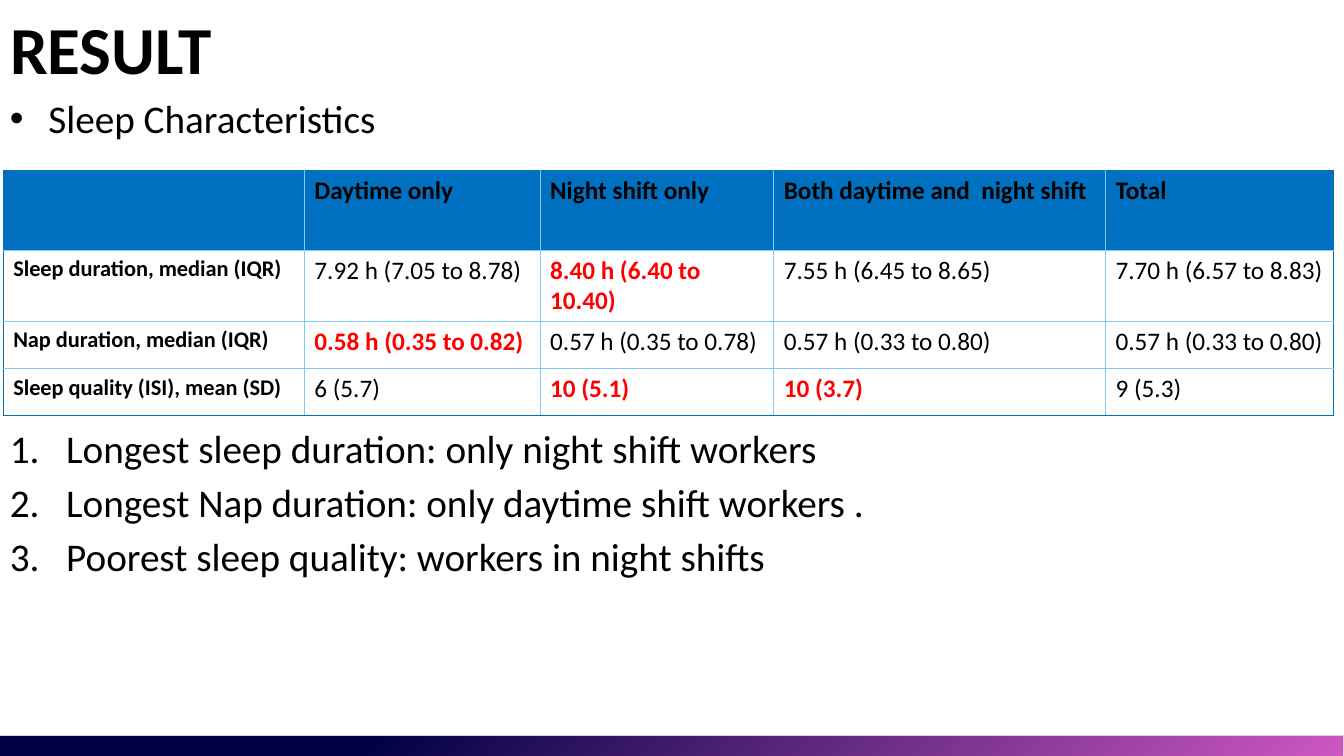
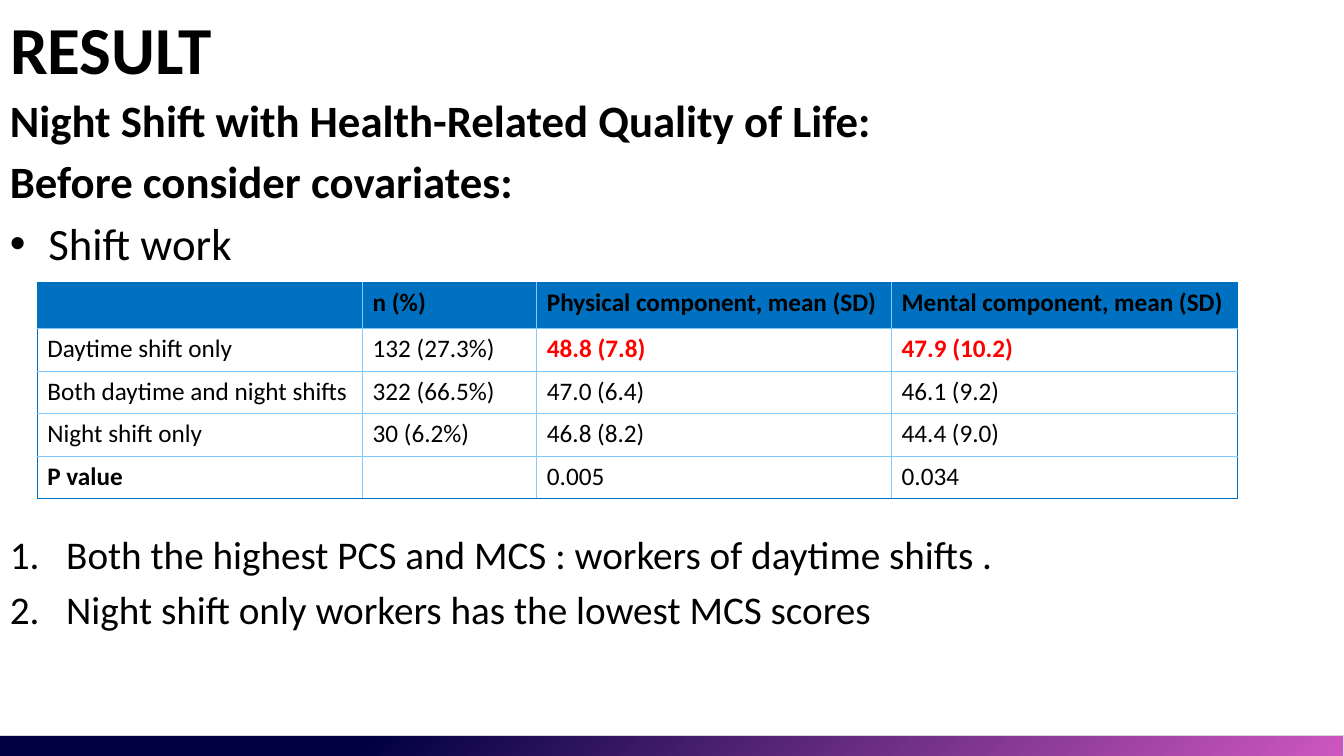
from dataclasses import dataclass

from lxml.etree import SubElement
from pptx import Presentation
from pptx.dml.color import RGBColor
from pptx.enum.shapes import MSO_SHAPE
from pptx.enum.text import MSO_ANCHOR, MSO_AUTO_SIZE, PP_ALIGN
from pptx.oxml.ns import qn
from pptx.util import Cm, Pt


@dataclass(frozen=True)
class Theme:
    font: str = "Calibri"
    ink: str = "000000"
    alert: str = "FF0000"
    blue: str = "0070C0"
    sky: str = "80CAFF"
    navy: str = "000044"
    pink: str = "CE57C1"
    edge: str = "D8D8D8"
    title: int = 48
    lead: int = 32
    body: int = 28
    cell: int = 18
    label: int = 16
    gap: float = 0.18
    rule: float = 0.75


@dataclass(frozen=True)
class Item:
    text: str
    bold: bool = False
    color: str = Theme.ink
    size: int = Theme.cell


THEME = Theme()
WIDTH, HEIGHT = 33.87, 19.05
MARKS = {
    "dot": (0.97, "a:buChar", {"char": "•"}),
    "num": (1.42, "a:buAutoNum", {"type": "arabicPeriod"}),
}


def rgb(code):
    return RGBColor.from_string(code)


def hot(text):
    return Item(text, True, THEME.alert)


def label(text):
    return Item(text, True, size=THEME.label)


def write(para, item):
    run = para.add_run()
    run.text = item.text
    font = run.font
    font.name = THEME.font
    font.size = Pt(item.size)
    font.bold = item.bold
    font.color.rgb = rgb(item.color)


def mark(para, kind):
    indent, tag, attrs = MARKS[kind]
    props = para._p.get_or_add_pPr()
    props.set("marL", str(Cm(indent)))
    props.set("indent", str(-Cm(indent)))
    SubElement(props, qn("a:buFont"), typeface="Arial" if kind == "dot" else "+mj-lt")
    SubElement(props, qn(tag), **attrs)


def add_title(slide, text):
    title = slide.shapes.title
    title.left, title.top = Cm(0), Cm(0.05)
    title.width, title.height = Cm(18.3), Cm(2.1)
    frame = title.text_frame
    frame.auto_size = MSO_AUTO_SIZE.NONE
    frame.vertical_anchor = MSO_ANCHOR.TOP
    para = frame.paragraphs[0]
    para.alignment = PP_ALIGN.LEFT
    write(para, Item(text, True, size=THEME.title))


def add_text(slide, top, height, lines):
    box = slide.shapes.add_textbox(Cm(0), Cm(top), Cm(33.5), Cm(height))
    frame = box.text_frame
    frame.word_wrap = True
    for place, (item, kind) in enumerate(lines):
        para = frame.add_paragraph() if place else frame.paragraphs[0]
        if kind:
            mark(para, kind)
        if place:
            para.space_before = Pt(item.size * THEME.gap)
        write(para, item)


def add_points(slide, top, texts):
    lines = [(Item(text, size=THEME.body), "num") for text in texts]
    add_text(slide, top, 1.4 * len(texts) + 0.3, lines)


def add_rules(cell, colors):
    props = cell._tc.get_or_add_tcPr()
    for side, color in zip("LRTB", colors):
        line = SubElement(props, qn(f"a:ln{side}"), w=str(Pt(THEME.rule)))
        fill = SubElement(line, qn("a:solidFill"))
        SubElement(fill, qn("a:srgbClr"), val=color)


def add_grid(slide, left, top, widths, heights, rows):
    frame = slide.shapes.add_table(
        len(rows), len(widths), Cm(left), Cm(top), Cm(sum(widths)), Cm(sum(heights))
    )
    table = frame.table
    table.first_row = table.horz_banding = False
    for col, width in zip(table.columns, widths):
        col.width = Cm(width)
    for row, height in zip(table.rows, heights):
        row.height = Cm(height)
    last_row, last_col = len(rows) - 1, len(widths) - 1
    for y, row in enumerate(rows):
        for x, value in enumerate(row):
            cell = table.cell(y, x)
            outer = (x == 0, x == last_col, y == 0, y in (0, last_row))
            add_rules(cell, [THEME.blue if side else THEME.sky for side in outer])
            if y == 0:
                cell.fill.solid()
                cell.fill.fore_color.rgb = rgb(THEME.blue)
            else:
                cell.fill.background()
            if value:
                item = value if isinstance(value, Item) else Item(value, y == 0)
                write(cell.text_frame.paragraphs[0], item)


def add_band(slide):
    band = slide.shapes.add_shape(
        MSO_SHAPE.RECTANGLE, Cm(0), Cm(18.54), Cm(WIDTH), Cm(0.58)
    )
    band.shadow.inherit = False
    band.fill.gradient()
    band.fill.gradient_angle = 315
    stops = zip(band.fill.gradient_stops, ((0.27, THEME.navy), (1, THEME.pink)))
    for stop, (place, color) in stops:
        stop.position = place
        stop.color.rgb = rgb(color)
    band.line.color.rgb = rgb(THEME.edge)
    band.line.width = Pt(THEME.rule)
    slide.slide_layout.element.cSld.spTree.append(band.element)


def add_sleep(slide):
    add_title(slide, "RESULT")
    add_text(slide, 2.26, 1.6, [(Item("Sleep Characteristics", size=THEME.body), "dot")])
    add_grid(
        slide, 0.08, 4.29,
        [7.59, 5.94, 5.89, 8.36, 5.74],
        [2.01, 1.8, 1.19, 1.19],
        [
            ["", "Daytime only", "Night shift only", "Both daytime and  night shift", "Total"],
            [
                label("Sleep duration, median (IQR)"),
                "7.92 h (7.05 to 8.78)",
                hot("8.40 h (6.40 to 10.40)"),
                "7.55 h (6.45 to 8.65)",
                "7.70 h (6.57 to 8.83)",
            ],
            [
                label("Nap duration, median (IQR)"),
                hot("0.58 h (0.35 to 0.82)"),
                "0.57 h (0.35 to 0.78)",
                "0.57 h (0.33 to 0.80)",
                "0.57 h (0.33 to 0.80)",
            ],
            [
                label("Sleep quality (ISI), mean (SD)"),
                "6 (5.7)", hot("10 (5.1)"), hot("10 (3.7)"), "9 (5.3)",
            ],
        ],
    )
    add_points(slide, 10.57, [
        "Longest sleep duration: only night shift workers",
        "Longest Nap duration: only daytime shift workers .",
        "Poorest sleep quality: workers in night shifts",
    ])


def add_health(slide):
    add_title(slide, "RESULT")
    add_text(slide, 2.2, 4.8, [
        (Item("Night Shift with Health-Related Quality of Life:", True, size=THEME.lead), None),
        (Item("Before consider covariates:", True, size=THEME.lead), None),
        (Item("Shift work", size=THEME.lead), "dot"),
    ])
    add_grid(
        slide, 0.94, 7.11,
        [8.2, 4.39, 8.94, 8.71],
        [1.17] + [1.07] * 4,
        [
            ["", "n (%)", "Physical component, mean (SD)", "Mental component, mean (SD)"],
            ["Daytime shift only", "132 (27.3%)", hot("48.8 (7.8)"), hot("47.9 (10.2)")],
            ["Both daytime and night shifts", "322 (66.5%)", "47.0 (6.4)", "46.1 (9.2)"],
            ["Night shift only", "30 (6.2%)", "46.8 (8.2)", "44.4 (9.0)"],
            [Item("P value", True), "", "0.005", "0.034"],
        ],
    )
    add_points(slide, 13.25, [
        "Both the highest PCS and MCS : workers of daytime shifts .",
        "Night shift only workers has the lowest MCS scores",
    ])


def main():
    deck = Presentation()
    deck.slide_width, deck.slide_height = Cm(WIDTH), Cm(HEIGHT)
    layout = deck.slide_layouts[5]
    sleep, health = (deck.slides.add_slide(layout) for _ in range(2))
    add_band(sleep)
    add_sleep(sleep)
    add_health(health)
    deck.save("out.pptx")


if __name__ == "__main__":
    main()
